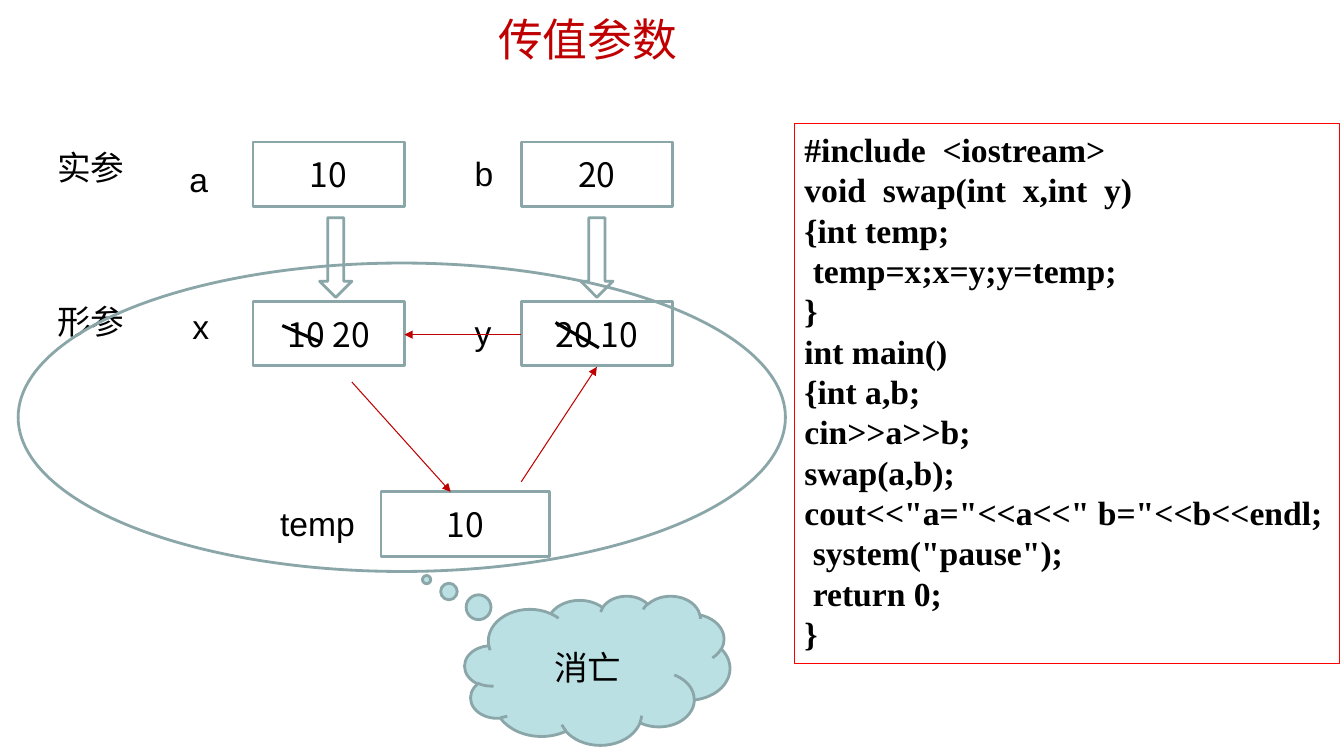
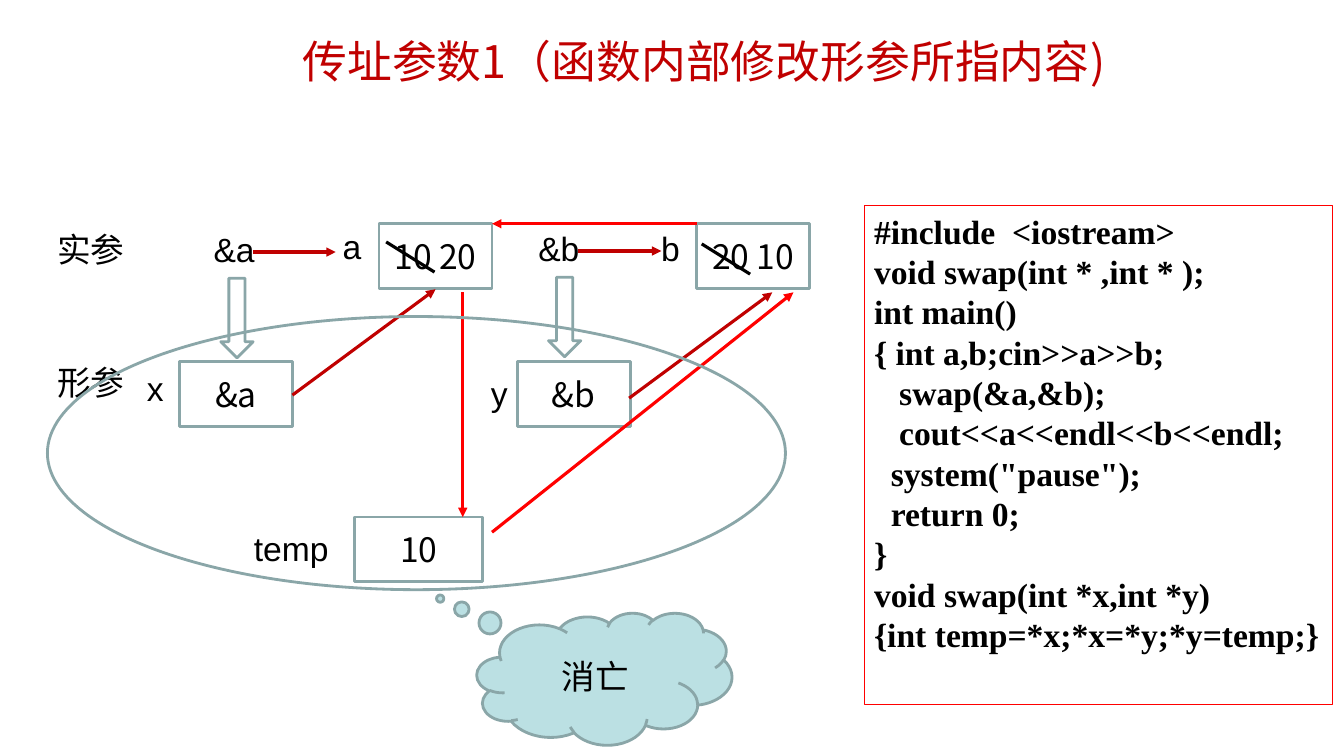
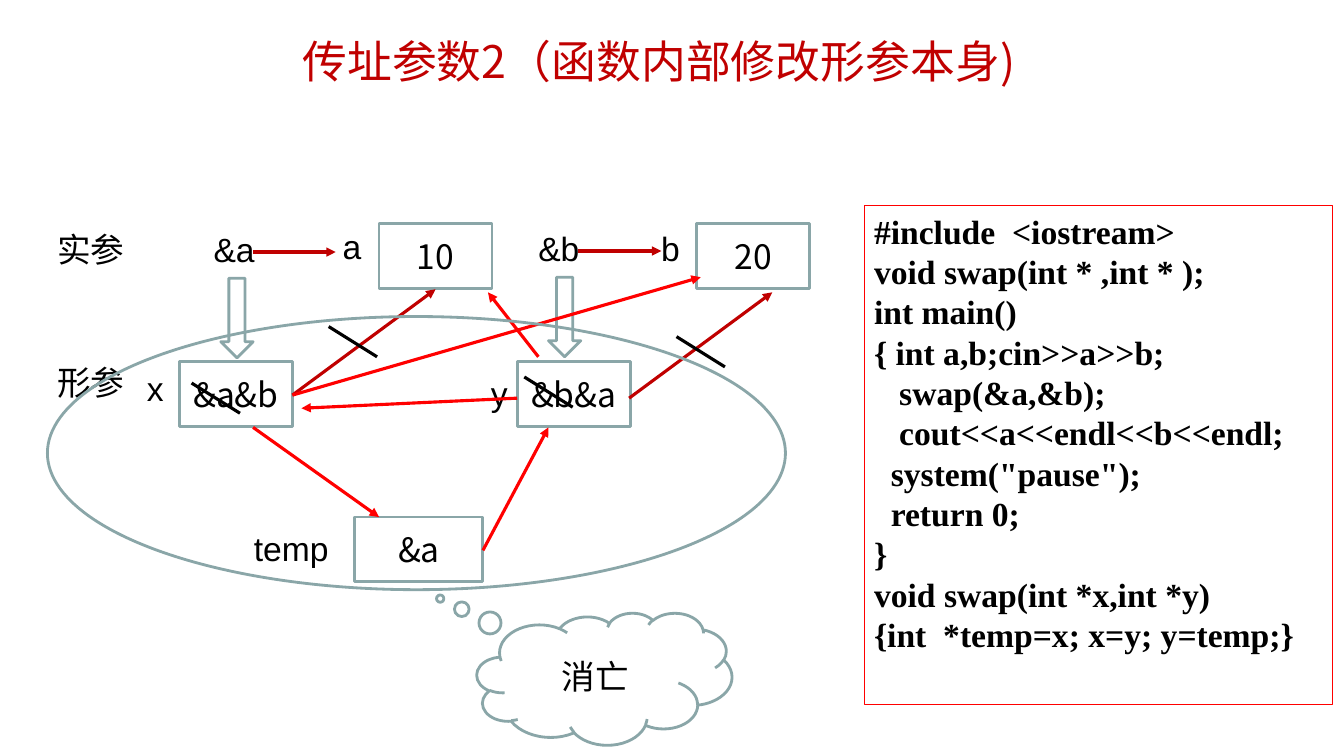
"""Build three slides that show passing by value and by address."""
from dataclasses import dataclass

from lxml.etree import SubElement
from pptx import Presentation
from pptx.dml.color import RGBColor as Rgb
from pptx.enum.shapes import MSO_CONNECTOR as Link, MSO_SHAPE as Kind
from pptx.enum.text import MSO_ANCHOR as Anchor, MSO_AUTO_SIZE as Auto, PP_ALIGN as Align
from pptx.oxml.ns import qn
from pptx.util import Inches, Pt


@dataclass(frozen=True)
class Theme:
    """Hold the colours, fonts and sizes of the deck."""
    ink: str = "000000"
    dark: str = "C00000"
    red: str = "FF0000"
    edge: str = "8AA6A8"
    cloud: str = "BBE0E3"
    sans: str = "Arial"
    cjk: str = "Noto Sans CJK SC"
    code: str = "Times New Roman"
    head: int = 32
    body: int = 24
    rule: float = 2
    thin: float = 0.75
    bold: float = 2.25


T = Theme()

VALUE_CODE = """#include  <iostream>
void  swap(int  x,int  y)
{int temp;
 temp=x;x=y;y=temp;
}
int main()
{int a,b;
cin>>a>>b;
swap(a,b);
cout<<"a="<<a<<" b="<<b<<endl;
 system("pause");
 return 0;
}"""

POINT_CODE = """#include  <iostream>
void swap(int * ,int * );
int main()
{ int a,b;cin>>a>>b;
   swap(&a,&b);
   cout<<a<<endl<<b<<endl;
  system("pause");
  return 0;
}
void swap(int *x,int *y)
"""


def write(shape, text, font, size=T.body, color=T.ink, bold=False,
          align=Align.LEFT, anchor=Anchor.TOP):
    """Fill a shape with evenly styled paragraphs."""
    frame = shape.text_frame
    frame.text = text
    frame.word_wrap = True
    frame.auto_size = Auto.NONE
    frame.vertical_anchor = anchor
    for para in frame.paragraphs:
        para.alignment = align
        para.font.name = font
        para.font.size = Pt(size)
        para.font.bold = bold
        para.font.color.rgb = Rgb.from_string(color)
        props = para._p.pPr.find(qn("a:defRPr"))
        SubElement(props, qn("a:ea"), typeface=T.cjk)


def title(slide, text, left, top, width):
    """Place the slide title."""
    shape = slide.shapes.title
    shape.left, shape.top = Inches(left), Inches(top)
    shape.width, shape.height = Inches(width), Inches(0.64)
    write(shape, text, T.cjk, T.head, T.dark)


def label(slide, text, left, top, width=0.57):
    """Add a plain label."""
    area = [Inches(n) for n in (left, top, width, 0.5)]
    write(slide.shapes.add_textbox(*area), text, T.sans)


def form(slide, kind, left, top, width, height, fill=None, edge=T.edge, rule=T.rule):
    """Add an outlined shape."""
    area = [Inches(n) for n in (left, top, width, height)]
    shape = slide.shapes.add_shape(kind, *area)
    shape.shadow.inherit = False
    if fill:
        shape.fill.solid()
        shape.fill.fore_color.rgb = Rgb.from_string(fill)
    else:
        shape.fill.background()
    shape.line.color.rgb = Rgb.from_string(edge)
    shape.line.width = Pt(rule)
    return shape


def cell(slide, text, left, top, width):
    """Add a memory cell with its value."""
    shape = form(slide, Kind.RECTANGLE, left, top, width, 0.64)
    write(shape, text, T.cjk, align=Align.CENTER, anchor=Anchor.MIDDLE)


def drop(slide, left, top):
    """Add a block arrow pointing down."""
    form(slide, Kind.DOWN_ARROW, left, top, 0.32, 0.79)


def line(slide, start, end, color=T.ink, width=T.bold):
    """Add a straight line and return it."""
    points = [Inches(n) for n in (*start, *end)]
    link = slide.shapes.add_connector(Link.STRAIGHT, *points)
    link.line.color.rgb = Rgb.from_string(color)
    link.line.width = Pt(width)
    SubElement(link._element.spPr, qn("a:effectLst"))
    return link


def arrow(slide, start, end, color=T.red, width=T.bold):
    """Add a line with a head at its end."""
    stroke = line(slide, start, end, color, width).line
    SubElement(stroke._get_or_add_ln(), qn("a:tailEnd"), type="triangle")


def strike(slide, left, top):
    """Cross out a value or an arrow."""
    line(slide, (left, top), (left + 0.48, top + 0.3))


def scope(slide, oval, cloud, fill=T.cloud):
    """Ring the local data and add the cloud that ends it."""
    form(slide, Kind.OVAL, *oval)
    shape = form(slide, Kind.CLOUD_CALLOUT, *cloud, fill=fill)
    shape.adjustments[0], shape.adjustments[1] = -0.644, -0.608
    write(shape, "消亡", T.cjk, align=Align.CENTER, anchor=Anchor.MIDDLE)


def listing(slide, text, area, align=Align.LEFT):
    """Add the framed code."""
    shape = form(slide, Kind.RECTANGLE, *area, edge=T.red, rule=T.thin)
    write(shape, text, T.code, bold=True, align=align)


def rows(slide, first, second):
    """Name the two rows of the diagram."""
    label(slide, "实参", 0.47, first, 0.93)
    label(slide, "形参", 0.47, second, 0.93)


def by_value(slide):
    """Draw the slide on passing by value."""
    title(slide, "传值参数", 4.84, 0.07, 2.17)
    rows(slide, 1.41, 2.94)
    for left, top, values in ((2.51, 1.41, "10"), (5.17, 1.41, "20"),
                              (2.51, 2.99, "10 20"), (5.17, 2.99, "20 10")):
        cell(slide, values, left, top, 1.5)
    for name, left, top in (("a", 1.78, 1.53), ("b", 4.61, 1.47),
                            ("x", 1.81, 2.99), ("y", 4.61, 3.05)):
        label(slide, name, left, top)
    for left in (3.17, 5.76):
        drop(slide, left, 2.16)
    listing(slide, VALUE_CODE, (7.88, 1.23, 5.41, 5.35))
    cell(slide, "10", 3.78, 4.88, 1.67)
    label(slide, "temp", 2.68, 4.94, 1)
    for start, end in (((3.49, 3.79), (4.47, 4.88)),
                       ((5.17, 3.32), (4.01, 3.32)),
                       ((5.17, 4.78), (5.92, 3.64))):
        arrow(slide, start, end, T.dark, T.thin)
    line(slide, (5.51, 3.2), (5.94, 3.45))
    line(slide, (2.8, 3.23), (3.17, 3.39))
    scope(slide, (0.18, 2.61, 7.61, 3.06), (4.61, 5.91, 2.63, 1.48))


def by_address(slide, head, width, values, temp, last, moves, cuts, fill):
    """Draw a slide on passing by address."""
    title(slide, head, 2.9, 0.28, width)
    rows(slide, 2.22, 3.54)
    spots = ((3.76, 2.22), (6.91, 2.22), (1.78, 3.59), (5.13, 3.59))
    for value, (left, top) in zip(values, spots):
        cell(slide, value, left, top, 1.12)
    for name, left, top in (("a", 3.3, 2.19), ("b", 6.46, 2.21),
                            ("x", 1.36, 3.6), ("y", 4.77, 3.65)):
        label(slide, name, left, top)
    listing(slide, POINT_CODE + last, (8.57, 2.04, 4.65, 4.95), Align.JUSTIFY)
    label(slide, "&a", 2.02, 2.22, 0.82)
    label(slide, "&b", 5.24, 2.21, 0.82)
    drop(slide, 2.19, 2.76)
    drop(slide, 5.44, 2.75)
    for start, end in (((2.51, 2.5), (3.33, 2.5)), ((5.73, 2.49), (6.56, 2.49)),
                       ((2.9, 3.92), (4.32, 2.87)), ((6.24, 3.95), (7.66, 2.9))):
        arrow(slide, start, end, T.dark)
    cell(slide, temp, 3.52, 5.13, 1.27)
    label(slide, "temp", 2.42, 5.19, 1)
    for start, end in moves:
        arrow(slide, start, end)
    for left, top in cuts:
        strike(slide, left, top)
    scope(slide, (0.47, 3.14, 7.32, 2.71), (4.73, 6.08, 2.53, 1.31), fill)


def main():
    """Build and save the deck."""
    deck = Presentation()
    deck.slide_width, deck.slide_height = Inches(13.33), Inches(7.5)
    value, target, pointer = [deck.slides.add_slide(deck.slide_layouts[5])
                              for _ in range(3)]
    by_value(value)
    by_address(
        target, "传址参数1（函数内部修改形参所指内容)", 8.6,
        ("10 20", "20 10", "&a", "&b"), "10", "{int temp=*x;*x=*y;*y=temp;}",
        moves=(((4.59, 2.9), (4.59, 5.13)), ((6.91, 2.22), (4.88, 2.22)),
               ((4.88, 5.28), (7.87, 2.9))),
        cuts=((3.83, 2.4), (6.96, 2.42)), fill=T.cloud)
    by_address(
        pointer, "传址参数2（函数内部修改形参本身)", 7.67,
        ("10", "20", "&a&b", "&b&a"), "&a", "{int  *temp=x; x=y; y=temp;}",
        moves=(((2.51, 4.24), (3.76, 5.13)), ((5.13, 3.95), (2.99, 4.05)),
               ((2.9, 3.92), (6.95, 2.75)), ((4.79, 5.46), (5.44, 4.24)),
               ((5.34, 3.54), (4.84, 2.9))),
        cuts=((1.9, 3.8), (3.26, 3.24), (5.2, 3.74), (6.71, 3.34)), fill=None)
    deck.save("out.pptx")


if __name__ == "__main__":
    main()
